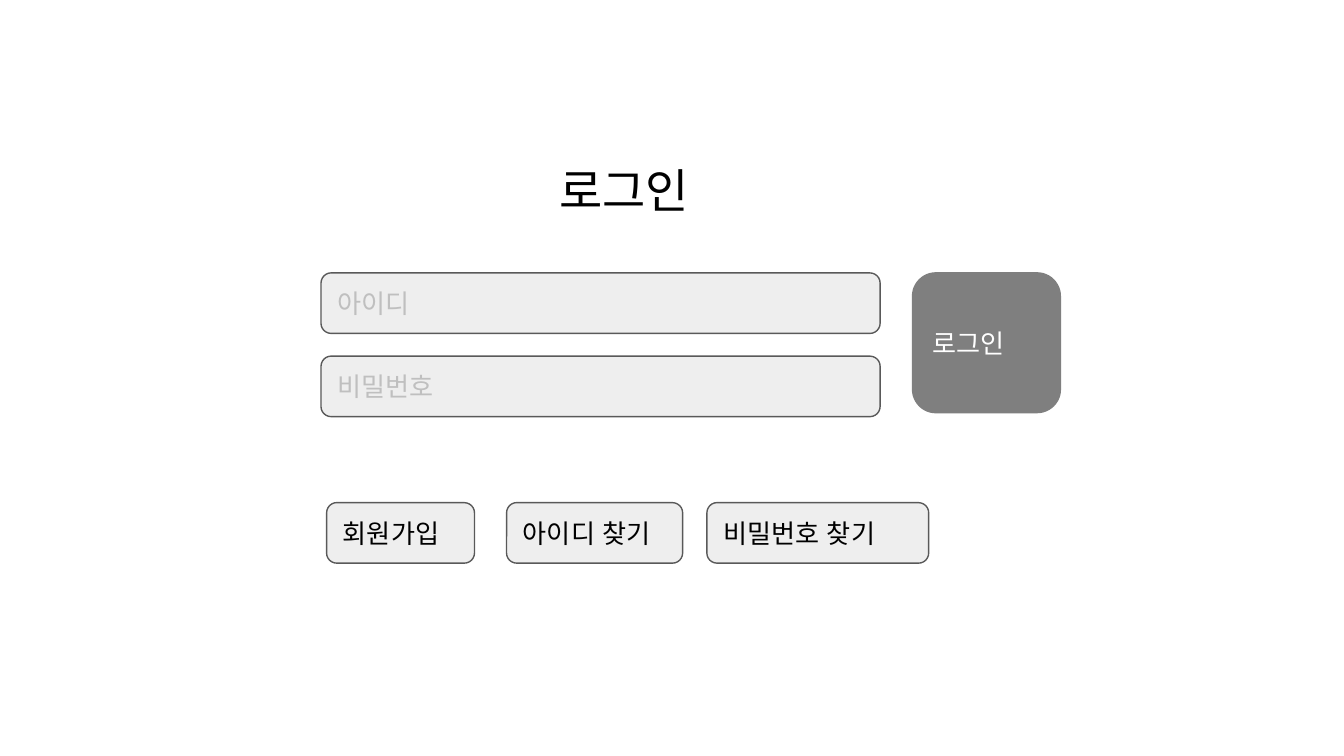
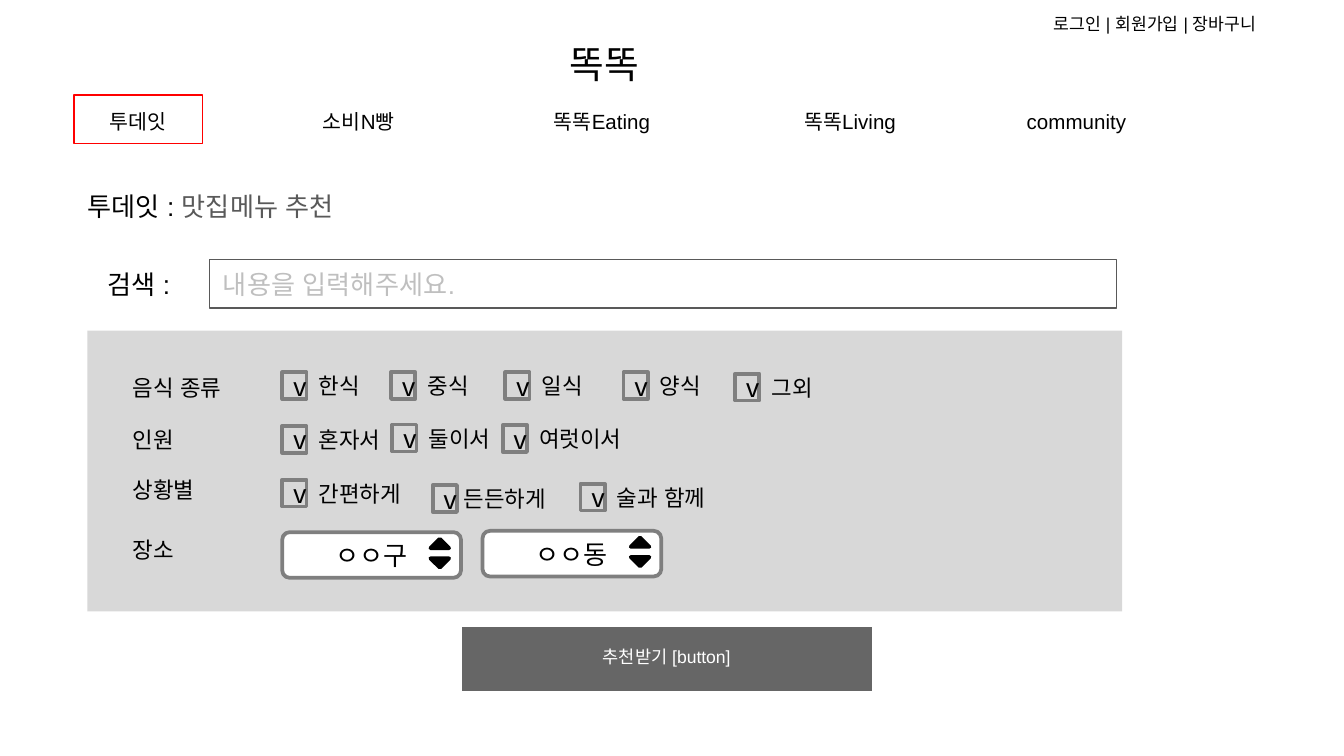
from dataclasses import dataclass

from lxml import etree
from pptx import Presentation
from pptx.dml.color import RGBColor
from pptx.enum.shapes import MSO_SHAPE
from pptx.enum.text import MSO_ANCHOR, MSO_AUTO_SIZE, PP_ALIGN
from pptx.oxml.ns import qn
from pptx.util import Pt

RECT, ROUNDED = MSO_SHAPE.RECTANGLE, MSO_SHAPE.ROUNDED_RECTANGLE
TRIANGLE = MSO_SHAPE.ISOSCELES_TRIANGLE
LEFT, CENTER = PP_ALIGN.LEFT, PP_ALIGN.CENTER
TOP, MIDDLE = MSO_ANCHOR.TOP, MSO_ANCHOR.MIDDLE
TITLE_ONLY = 5


@dataclass(frozen=True)
class Theme:
    font: str = "Arial"
    ink: str = "000000"
    paper: str = "FFFFFF"
    field: str = "EEEEEE"
    panel: str = "D8D8D8"
    hint: str = "BFBFBF"
    control: str = "7F7F7F"
    action: str = "666666"
    outline: str = "595959"
    active: str = "FF0000"
    login_size: float = 25.2
    brand_size: float = 20.2
    body_size: float = 14
    option_size: float = 12
    nav_size: float = 11
    button_size: float = 9.4
    account_size: float = 9.2
    thin: float = 0.75
    thick: float = 2
    corner: float = 0.167
    inset: float = 7.2


class Wireframe:
    """Holds the theme and the slide being drawn; boxes are (x, y, w, h) in points."""

    def __init__(self, theme):
        self.theme = theme
        self.deck = Presentation()
        self.deck.slide_width, self.deck.slide_height = Pt(720), Pt(405)
        self.slide = None

    def new_slide(self):
        self.slide = self.deck.slides.add_slide(self.deck.slide_layouts[TITLE_ONLY])

    def set_text(self, shape, runs, size, align=LEFT, anchor=MIDDLE, inset_y=None):
        """Fill a shape with one paragraph of (text, colour) runs."""
        frame = shape.text_frame
        frame.word_wrap = True
        frame.auto_size = MSO_AUTO_SIZE.NONE
        frame.vertical_anchor = anchor
        frame.margin_left = frame.margin_right = Pt(self.theme.inset)
        frame.margin_top = frame.margin_bottom = Pt(
            self.theme.inset if inset_y is None else inset_y)
        paragraph = frame.paragraphs[0]
        paragraph.alignment = align
        for words, color in runs:
            run = paragraph.add_run()
            run.text = words
            run.font.size = Pt(size)
            run.font.color.rgb = RGBColor.from_string(color)
            run.font.name = self.theme.font
            east_asian = etree.SubElement(run.font._element, qn("a:ea"))
            east_asian.set("typeface", self.theme.font)
        return paragraph

    def title(self, box, runs, size):
        holder = self.slide.shapes.title
        holder.left, holder.top, holder.width, holder.height = map(Pt, box)
        self.set_text(holder, runs, size, anchor=TOP)

    def label(self, box, words, size, align=LEFT, anchor=MIDDLE):
        holder = self.slide.shapes.add_textbox(*map(Pt, box))
        self.set_text(holder, [(words, self.theme.ink)], size, align, anchor)

    def shape(self, kind, box, fill=None, line=None, weight=None):
        drawn = self.slide.shapes.add_shape(kind, *map(Pt, box))
        drawn.shadow.inherit = False
        if kind == ROUNDED:
            drawn.adjustments[0] = self.theme.corner
        if fill:
            drawn.fill.solid()
            drawn.fill.fore_color.rgb = RGBColor.from_string(fill)
        else:
            drawn.fill.background()
        if line:
            drawn.line.color.rgb = RGBColor.from_string(line)
            drawn.line.width = Pt(weight or self.theme.thin)
        else:
            drawn.line.fill.background()
        return drawn

    def rounded_field(self, box, words, color):
        field = self.shape(ROUNDED, box, self.theme.field, self.theme.outline)
        self.set_text(field, [(words, color)], self.theme.body_size)

    def checkbox(self, x, y, words, width, gap=12.4):
        t = self.theme
        tick = self.shape(RECT, (x, y, 13, 14.4), line=t.control, weight=t.thick)
        self.set_text(tick, [("v", t.ink)], t.body_size, CENTER, inset_y=3.6)
        self.label((x + gap, y - 5.8, width, 26), words, t.option_size)

    def dropdown(self, x, y, words):
        t = self.theme
        menu = self.shape(ROUNDED, (x, y, 95.8, 24.5), t.paper, t.control, t.thick)
        self.set_text(menu, [(words, t.ink)], t.body_size, CENTER, inset_y=3.6)
        for drop, turn in ((3.6, 0), (14, 180)):
            arrow = self.shape(TRIANGLE, (x + 79.4, y + drop, 10, 5), t.ink, t.ink, t.thick)
            arrow.rotation = turn


def login_slide(page):
    t = page.theme
    page.new_slide()
    page.title((292.3, 79.2, 138.2, 45.4), [("로그인", t.ink)], t.login_size)
    for y, hint in ((146.2, "아이디"), (190.8, "비밀번호")):
        page.rounded_field((172, y, 299.5, 32.4), hint, t.hint)
    login = page.shape(ROUNDED, (488.9, 146.2, 79.2, 74.9), t.control, t.control)
    page.set_text(login, [("로그인", t.paper)], t.body_size)
    for x, width, words in ((175, 79.2, "회원가입"), (271.4, 94.3, "아이디 찾기"),
                            (378.7, 118.8, "비밀번호 찾기")):
        page.rounded_field((x, 269.3, width, 32.4), words, t.ink)


def recommend_slide(page):
    t = page.theme
    page.new_slide()
    page.title((39.6, 95, 211.7, 45.4),
               [("투데잇 : ", t.ink), ("맛집메뉴 추천", t.outline)], t.body_size)
    page.label((298, 14.4, 57.6, 30.2), "똑똑", t.brand_size, anchor=TOP)
    page.label((557.3, 0, 138.2, 30.2), "로그인 | 회원가입 | 장바구니",
               t.account_size, anchor=TOP)

    active_tab = page.shape(RECT, (39.6, 51, 69, 26), line=t.active)
    page.set_text(active_tab, [("투데잇", t.ink)], t.nav_size, CENTER, TOP)
    for x, width, words in ((157.7, 69, "소비N빵"), (276.5, 92, "똑똑Eating"),
                            (418.3, 74.2, "똑똑Living"), (542.2, 69, "community")):
        page.label((x, 51, width, 26), words, t.nav_size, CENTER, TOP)

    search = page.shape(RECT, (112.3, 139, 486, 26), line=t.outline)
    page.set_text(search, [("내용을 입력해주세요.", t.hint)], t.body_size)
    page.label((50.4, 139, 57.6, 26), "검색 :", t.body_size)

    page.shape(RECT, (46.8, 177.1, 554.4, 150.5), t.panel)
    for y, words in ((194.4, "음식 종류"), (222.5, "인원"), (249.1, "상황별"), (281.5, "장소")):
        page.label((64, y, 81.4, 26), words, t.option_size)

    for x, words in ((151.2, "한식"), (209.5, "중식"), (270.7, "일식"), (334, "양식")):
        page.checkbox(x, 199.4, words, 46)
    page.checkbox(393.8, 200.2, "그외", 46)
    for x, y, words, width in ((151.2, 228.2, "혼자서", 54.7), (210.2, 227.5, "둘이서", 54.7),
                               (269.3, 227.8, "여럿이서", 65.5), (151.2, 257, "간편하게", 63.4),
                               (311, 259.2, "술과 함께", 82.8)):
        page.checkbox(x, y, words, width)
    page.checkbox(231.8, 259.9, "든든하게", 63.4, gap=9.4)

    page.dropdown(151.2, 285.1, "ㅇㅇ구")
    page.dropdown(258.5, 284.4, "ㅇㅇ동")

    submit = page.shape(RECT, (247, 335.5, 220.3, 35.3), t.action, t.paper)
    caption = page.set_text(submit, [("추천받기 [button]", t.paper)], t.button_size, CENTER)
    caption.line_spacing = 0.75
    caption.space_after = Pt(12)


def main():
    page = Wireframe(Theme())
    login_slide(page)
    recommend_slide(page)
    page.deck.save("out.pptx")


if __name__ == "__main__":
    main()
